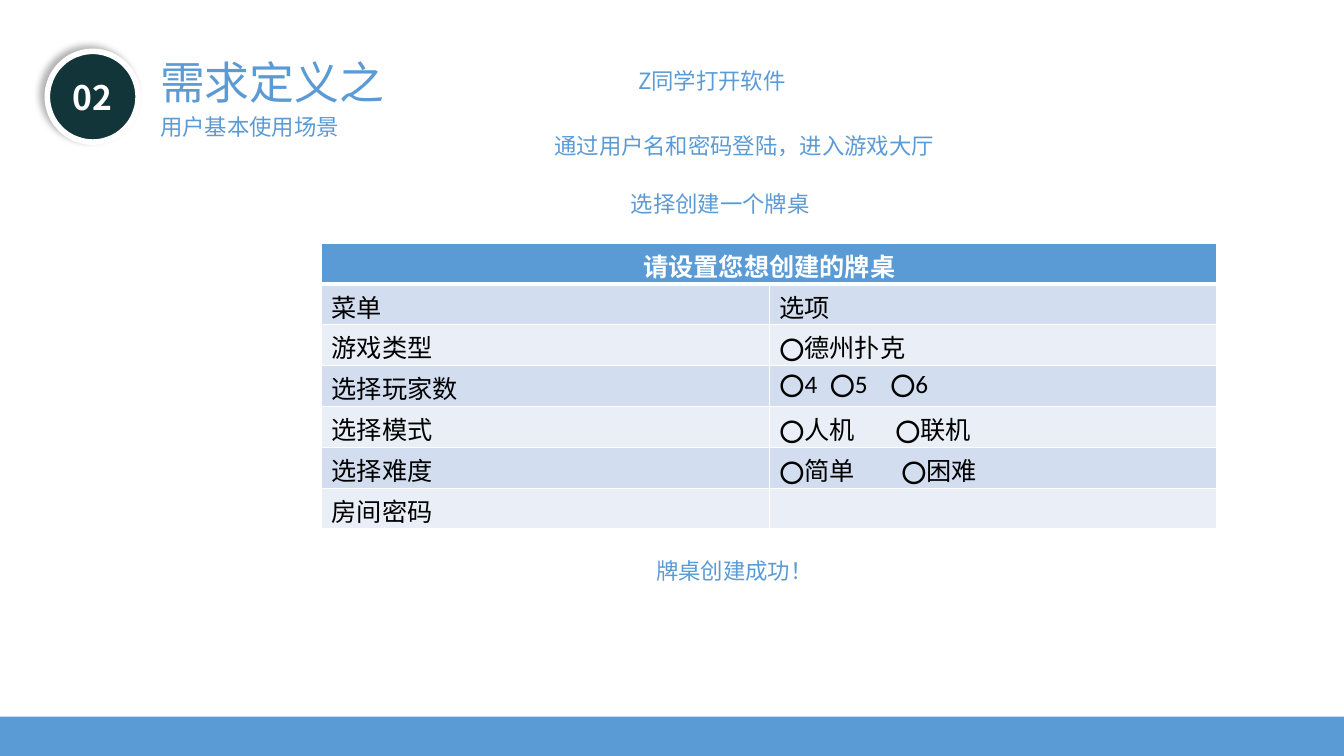
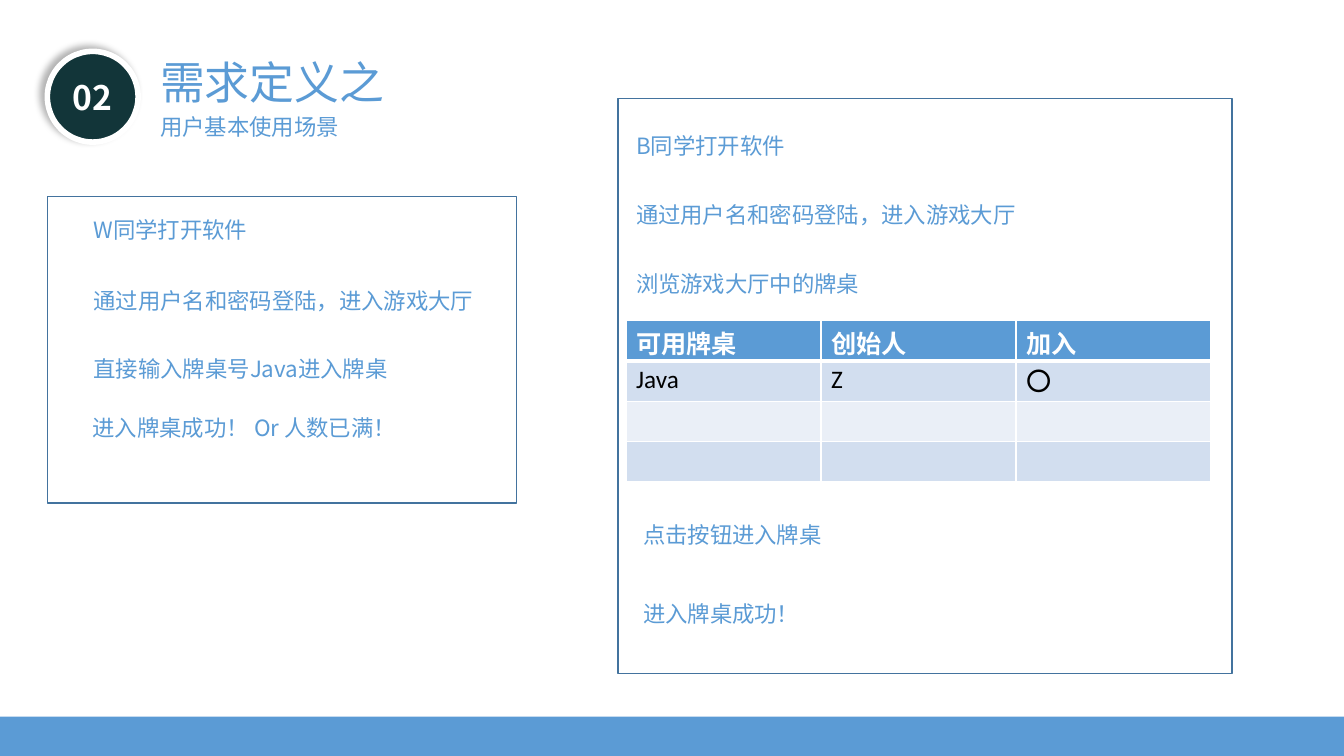
from dataclasses import dataclass

from lxml.etree import SubElement
from pptx import Presentation
from pptx.dml.color import RGBColor
from pptx.enum.lang import MSO_LANGUAGE_ID as Language
from pptx.enum.shapes import MSO_SHAPE as Shape
from pptx.enum.text import MSO_ANCHOR as Anchor, PP_ALIGN as Align
from pptx.oxml.ns import qn
from pptx.util import Pt

EMU_PER_PX = 9144  # 100 px to the inch
PAGE_WIDTH, PAGE_HEIGHT = 1333, 750
CELL_TOP, CELL_BOTTOM = 4, 0  # tight margins keep the rows at their set height

BLUE = RGBColor(0x5B, 0x9B, 0xD5)
FRAME_BLUE = RGBColor(0x43, 0x73, 0x9E)
DARK_GREEN = RGBColor(0x12, 0x35, 0x39)
WHITE = RGBColor(0xFF, 0xFF, 0xFF)
BLACK = RGBColor(0x00, 0x00, 0x00)
BANDS = (RGBColor(0xD2, 0xDE, 0xEF), RGBColor(0xEA, 0xEF, 0xF7))

TEXT_FONT = "Noto Sans CJK SC"
TABLE_FONT = "Calibri"


@dataclass(frozen=True)
class Step:
    text: str
    left: int
    top: int
    width: int
    height: int = 37
    size: int = 16


@dataclass(frozen=True)
class Frame:
    left: int
    top: int
    width: int
    height: int


@dataclass(frozen=True)
class Grid:
    left: int
    top: int
    width: int
    height: int
    rows: tuple[tuple[str, ...], ...]
    tab_stops: dict[int, tuple[int, ...]]  # row index -> stops in px


@dataclass(frozen=True)
class Scene:
    steps: tuple[Step, ...]
    grid: Grid
    frames: tuple[Frame, ...] = ()


HEADING = (
    Step("用户基本使用场景", 149, 107, 200),
    Step("需求定义之", 149, 49, 339, 64, 32),
)

SCENES = (
    Scene(
        steps=(
            Step("Z同学打开软件", 623, 62, 169),
            Step("通过用户名和密码登陆，进入游戏大厅", 540, 126, 402),
            Step("选择创建一个牌桌", 616, 184, 200),
            Step("牌桌创建成功！", 641, 548, 177),
        ),
        grid=Grid(
            319, 241, 888, 284,
            rows=(
                ("请设置您想创建的牌桌", ""),
                ("菜单", "选项"),
                ("游戏类型", "⭕德州扑克"),
                ("选择玩家数", "⭕4\t⭕5\t⭕6"),
                ("选择模式", "⭕人机\t⭕联机"),
                ("选择难度", "⭕简单\t⭕困难"),
                ("房间密码", ""),
            ),
            tab_stops={3: (50, 110), 4: (115,), 5: (121,)},
        ),
    ),
    Scene(
        steps=(
            Step("B同学打开软件", 621, 126, 169),
            Step("通过用户名和密码登陆，进入游戏大厅", 621, 195, 402),
            Step("浏览游戏大厅中的牌桌", 621, 263, 245),
            Step("点击按钮进入牌桌", 628, 512, 200),
            Step("进入牌桌成功！", 628, 590, 177),
            Step("W同学打开软件", 83, 210, 180),
            Step("通过用户名和密码登陆，进入游戏大厅", 83, 280, 402),
            Step("直接输入牌桌号Java进入牌桌", 83, 347, 312),
            Step("进入牌桌成功！ Or 人数已满！", 82, 406, 330),
        ),
        grid=Grid(
            621, 318, 580, 160,
            rows=(
                ("可用牌桌", "创始人", "加入"),
                ("Java", "Z", "⭕"),
                ("", "", ""),
                ("", "", ""),
            ),
            tab_stops={},
        ),
        frames=(Frame(613, 98, 609, 570), Frame(47, 195, 465, 304)),
    ),
)


def px(length: float) -> int:
    return round(length * EMU_PER_PX)


def area(left: int, top: int, width: int, height: int) -> tuple[int, ...]:
    return px(left), px(top), px(width), px(height)


def write(para, text: str, size: int, color: RGBColor, name: str, bold: bool = False) -> None:
    """Put one run in the paragraph and style the paragraph."""
    font = para.font
    font.size, font.bold, font.name = Pt(size), bold, name
    font.color.rgb = color
    if name == TEXT_FONT:
        latin = para._p.pPr.find(qn("a:defRPr")).find(qn("a:latin"))
        east_asian = latin.makeelement(qn("a:ea"), {"typeface": name})
        latin.addnext(east_asian)
    if text:
        span = para.add_run()
        span.text = text
        span.font.language_id = Language.SIMPLIFIED_CHINESE


def add_plain_shape(page, kind: Shape, place: tuple[int, ...]):
    shape = page.shapes.add_shape(kind, *place)
    shape.shadow.inherit = False
    return shape


def add_step(page, step: Step) -> None:
    box = page.shapes.add_textbox(*area(step.left, step.top, step.width, step.height))
    box.text_frame.word_wrap = True
    write(box.text_frame.paragraphs[0], step.text, step.size, BLUE, TEXT_FONT)


def add_badge(page, number: str) -> None:
    badge = add_plain_shape(page, Shape.OVAL, area(47, 51, 90, 90))
    badge.fill.solid()
    badge.fill.fore_color.rgb = DARK_GREEN
    badge.line.color.rgb = WHITE
    badge.line.width = Pt(4)
    # soft shadow towards the upper left
    effects = badge._element.spPr.find(qn("a:effectLst"))
    shadow = SubElement(
        effects, qn("a:outerShdw"),
        blurRad=str(Pt(5.1)), dist=str(Pt(4)), dir=str(215 * 60000),
        algn="ctr", rotWithShape="0",
    )
    color = SubElement(shadow, qn("a:srgbClr"), val=str(BLACK))
    SubElement(color, qn("a:alpha"), val="30000")
    badge.text_frame.vertical_anchor = Anchor.MIDDLE
    para = badge.text_frame.paragraphs[0]
    para.alignment = Align.CENTER
    write(para, number, 24, WHITE, TEXT_FONT, bold=True)


def add_band(page) -> None:
    band = add_plain_shape(page, Shape.RECTANGLE, area(0, 711, PAGE_WIDTH, 39))
    band.fill.solid()
    band.fill.fore_color.rgb = BLUE
    band.line.fill.background()


def add_frame(page, frame: Frame) -> None:
    place = area(frame.left, frame.top, frame.width, frame.height)
    outline = add_plain_shape(page, Shape.RECTANGLE, place)
    outline.fill.background()
    outline.line.color.rgb = FRAME_BLUE
    outline.line.width = Pt(1)


def set_borders(cell, top: int, bottom: int) -> None:
    """White borders; they must come before the fill in the cell properties."""
    properties = cell._tc.get_or_add_tcPr()
    for side, width in (("L", 1), ("R", 1), ("T", top), ("B", bottom)):
        border = SubElement(properties, qn(f"a:ln{side}"), w=str(Pt(width)))
        fill = SubElement(border, qn("a:solidFill"))
        SubElement(fill, qn("a:srgbClr"), val=str(WHITE))


def set_tab_stops(para, stops: tuple[int, ...]) -> None:
    properties = para._p.get_or_add_pPr()
    tabs = properties.makeelement(qn("a:tabLst"), {})
    properties.insert(0, tabs)
    for stop in stops:
        SubElement(tabs, qn("a:tab"), pos=str(px(stop)), algn="l")


def add_grid(page, grid: Grid) -> None:
    row_count, column_count = len(grid.rows), len(grid.rows[0])
    place = area(grid.left, grid.top, grid.width, grid.height)
    table = page.shapes.add_table(row_count, column_count, *place).table
    table.first_row = table.horz_banding = False
    for column in table.columns:
        column.width = px(grid.width / column_count)
    for row in table.rows:
        row.height = px(grid.height / row_count)

    for r, texts in enumerate(grid.rows):
        header = r == 0
        for c, text in enumerate(texts):
            cell = table.cell(r, c)
            cell.margin_top, cell.margin_bottom = px(CELL_TOP), px(CELL_BOTTOM)
            set_borders(cell, top=3 if r == 1 else 1, bottom=3 if header else 1)
            cell.fill.solid()
            cell.fill.fore_color.rgb = BLUE if header else BANDS[(r - 1) % 2]
            para = cell.text_frame.paragraphs[0]
            write(para, text, 18, WHITE if header else BLACK, TABLE_FONT, header)
            if "\t" in text:
                set_tab_stops(para, grid.tab_stops[r])

    # a header with a single title spans the whole table
    if not any(grid.rows[0][1:]):
        title = table.cell(0, 0)
        title.merge(table.cell(0, column_count - 1))
        title.text_frame.paragraphs[0].alignment = Align.CENTER


def add_scene(deck, scene: Scene) -> None:
    page = deck.slides.add_slide(deck.slide_layouts[6])
    add_badge(page, "02")
    add_band(page)
    for frame in scene.frames:
        add_frame(page, frame)
    add_grid(page, scene.grid)
    for step in HEADING + scene.steps:
        add_step(page, step)


def main() -> None:
    deck = Presentation()
    deck.slide_width, deck.slide_height = px(PAGE_WIDTH), px(PAGE_HEIGHT)
    for scene in SCENES:
        add_scene(deck, scene)
    deck.save("out.pptx")


if __name__ == "__main__":
    main()
